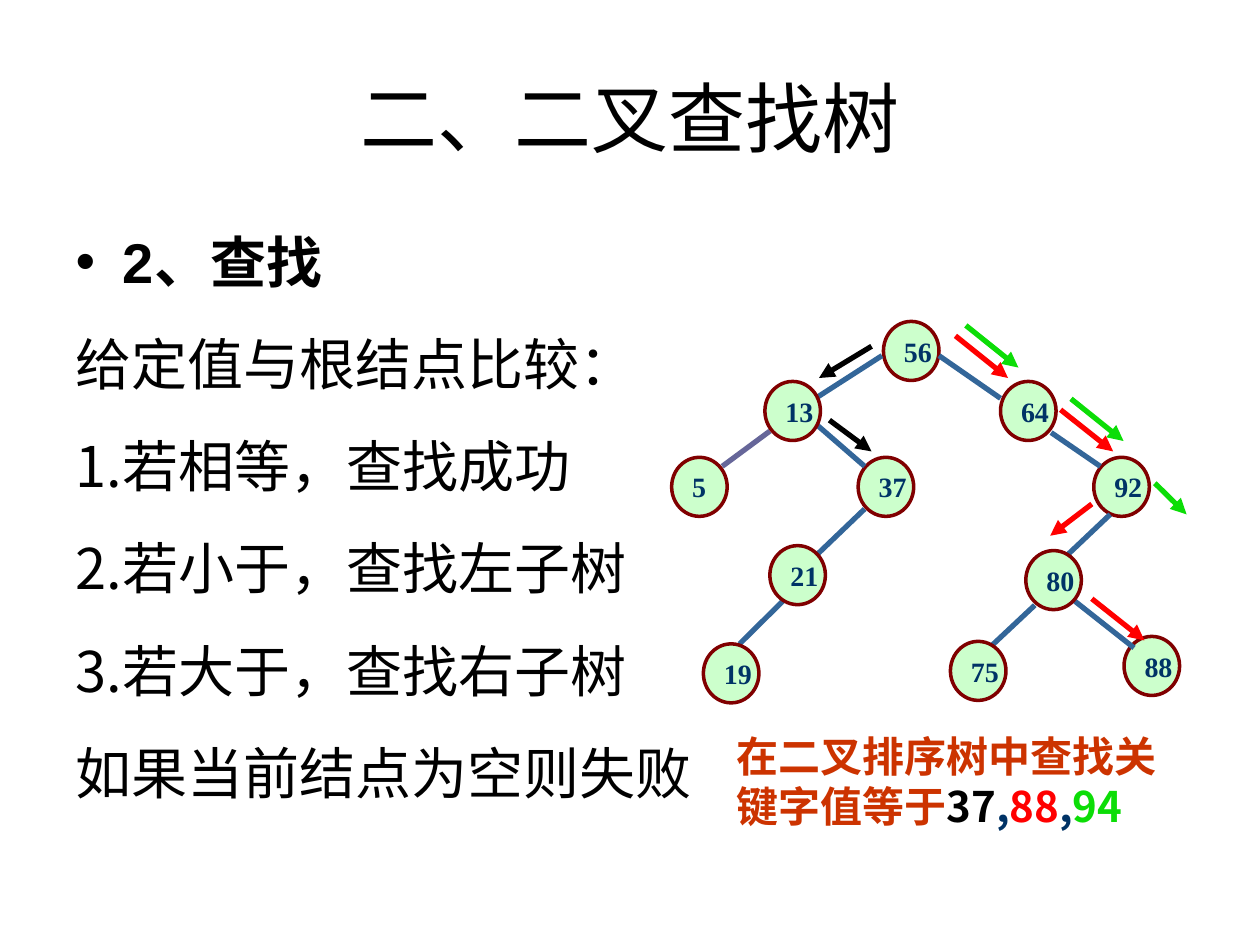
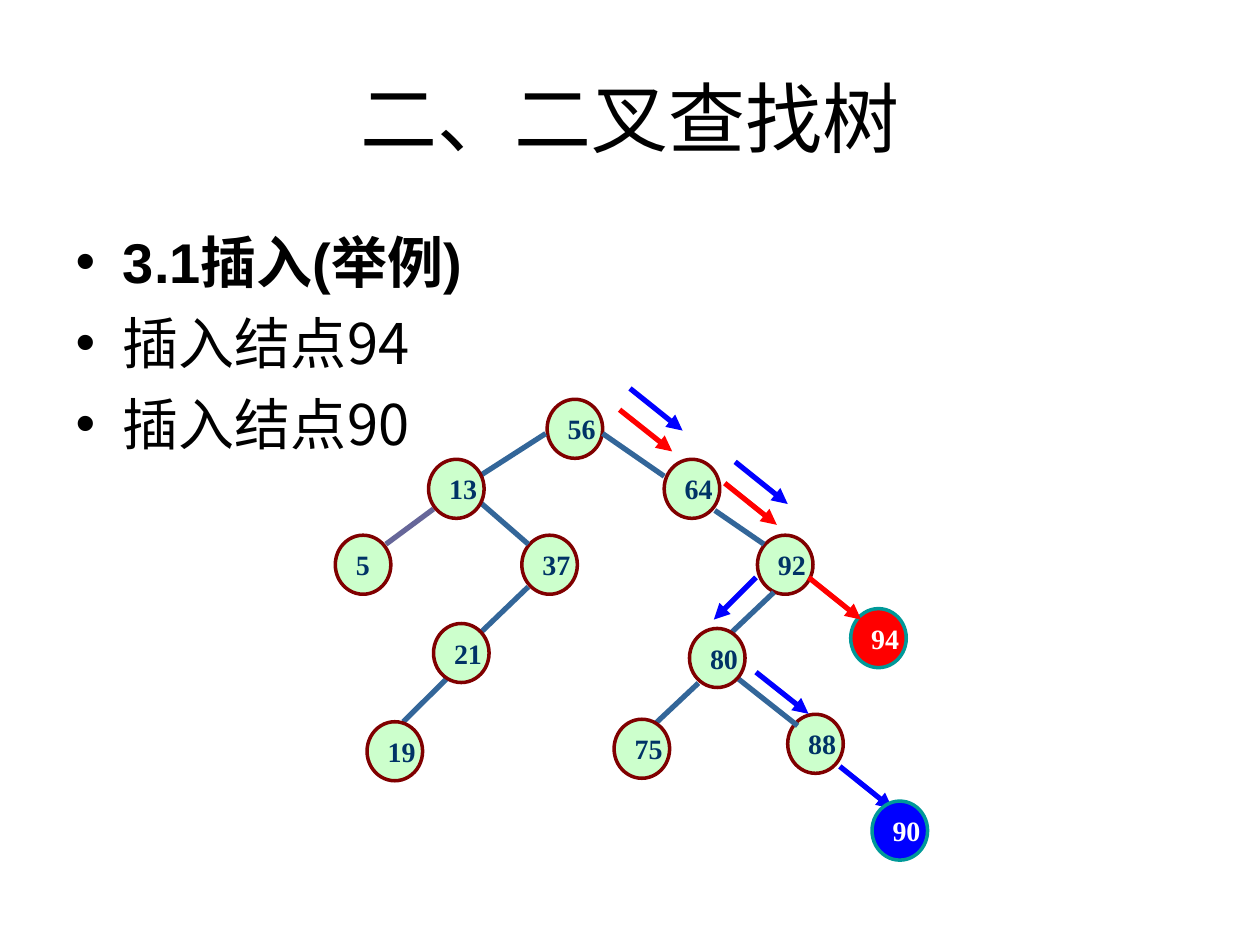
"""Builds two slides on searching and inserting in a binary search tree."""
from lxml import etree
from pptx import Presentation
from pptx.dml.color import RGBColor
from pptx.enum.shapes import MSO_CONNECTOR, MSO_SHAPE
from pptx.enum.text import MSO_ANCHOR, MSO_AUTO_SIZE, PP_ALIGN
from pptx.oxml.ns import qn
from pptx.util import Cm, Pt

STRAIGHT = MSO_CONNECTOR.STRAIGHT
OVAL = MSO_SHAPE.OVAL
MIDDLE, TOP = MSO_ANCHOR.MIDDLE, MSO_ANCHOR.TOP
LEFT, CENTER = PP_ALIGN.LEFT, PP_ALIGN.CENTER
FIXED, GROW = MSO_AUTO_SIZE.NONE, MSO_AUTO_SIZE.SHAPE_TO_FIT_TEXT

COLORS = {
    "black": "000000", "white": "FFFFFF", "red": "FF0000", "green": "0CDD07",
    "blue": "0000FF", "node": "CCFFCC", "node_line": "800000",
    "new_line": "009999", "key": "003366", "edge": "336699",
    "leaf_edge": "666699", "caption": "CC3300",
}
LATIN, CHINESE, KEY_FONT = "Arial", "Noto Sans CJK SC", "Times New Roman"
TITLE = "二、二叉查找树"
NODE_WIDTH, NODE_HEIGHT = 1.12, 1.19

BACK_NODES = {
    "56": (0, 0), "64": (2.36, 1.21), "5": (-4.27, 2.74),
    "92": (4.24, 2.74), "37": (-0.51, 2.74), "88": (4.85, 6.35),
}
FRONT_NODES = {
    "19": (-3.63, 6.5), "80": (2.87, 4.62), "21": (-2.29, 4.52),
    "13": (-2.39, 1.21), "75": (1.35, 6.45),
}
EDGES = [
    (-0.03, 0.69, -1.37, 1.55), (1.12, 0.69, 2.36, 1.55),
    (-1.37, 2.06, -0.38, 2.92), (-0.38, 3.78, -1.6, 4.95),
    (3.38, 2.24, 4.37, 2.92), (4.57, 3.89, 3.61, 4.8),
    (3.86, 5.64, 5.05, 6.58), (-1.88, 5.49, -2.9, 6.5),
    (3.05, 5.72, 2.08, 6.63),
]
LEAF_EDGE = (-2.29, 2.21, -3.25, 2.92)

SEARCH_ARROWS = {
    "black": [(17.57, 6.98, 16.51, 7.62), (16.72, 8.47, 17.57, 9.1)],
    "red": [(19.26, 6.77, 20.32, 7.62), (21.38, 8.26, 22.44, 9.1),
            (22.01, 10.16, 21.17, 10.8), (22.01, 12.07, 23.07, 12.91)],
    "green": [(19.47, 6.56, 20.53, 7.41), (21.59, 8.04, 22.65, 8.89),
              (23.28, 9.74, 23.92, 10.37)],
}
INSERT_ARROWS = {
    "red": [(12.49, 8.26, 13.55, 9.1), (14.61, 9.74, 15.66, 10.58),
            (16.3, 11.64, 17.36, 12.49)],
    "blue": [(12.7, 7.83, 13.76, 8.68), (14.82, 9.31, 15.88, 10.16),
             (15.24, 11.64, 14.39, 12.49), (15.24, 13.55, 16.3, 14.39),
             (16.93, 15.45, 17.99, 16.3)],
}


def rgb(name):
    """Return the named colour."""
    return RGBColor.from_string(COLORS[name])


def add_run(paragraph, text, *, size, font, color="black", bold=False):
    """Append formatted text to a paragraph."""
    run = paragraph.add_run()
    run.text = text
    run.font.size = Pt(size)
    run.font.name = font
    run.font.bold = bold
    run.font.color.rgb = rgb(color)
    east_asian = etree.SubElement(run.font._element, qn("a:ea"))
    east_asian.set("typeface", CHINESE)


def place(shape, left, top, width, height):
    """Move and size a shape, in centimetres."""
    shape.left, shape.top = Cm(left), Cm(top)
    shape.width, shape.height = Cm(width), Cm(height)


def add_titled_slide(presentation):
    """Add a slide with the shared title and return it with its body frame."""
    slide = presentation.slides.add_slide(presentation.slide_layouts[1])
    title, body = slide.placeholders
    place(title, 1.27, 0.76, 22.86, 3.18)
    title.text_frame.vertical_anchor = MIDDLE
    paragraph = title.text_frame.paragraphs[0]
    paragraph.alignment = CENTER
    add_run(paragraph, TITLE, size=44, font=LATIN)
    place(body, 1.27, 4.45, 22.86, 12.57)
    body.text_frame.auto_size = FIXED
    body.text_frame.vertical_anchor = TOP
    return slide, body.text_frame


def fill_list(frame, heading, lines, *, space, bulleted):
    """Write a bold bulleted heading and the lines below it."""
    first = frame.paragraphs[0]
    first.space_before = Pt(8)
    add_run(first, heading, size=32, font=LATIN, bold=True)
    for line in lines:
        paragraph = frame.add_paragraph()
        paragraph.space_before = Pt(space)
        if not bulleted:
            properties = paragraph._p.get_or_add_pPr()
            etree.SubElement(properties, qn("a:buNone"))
        add_run(paragraph, line, size=32, font=CHINESE)


def add_node(slide, key, left, top, fill="node", line="node_line", color="key"):
    """Add a tree node showing its key."""
    node = slide.shapes.add_shape(
        OVAL, Cm(left), Cm(top), Cm(NODE_WIDTH), Cm(NODE_HEIGHT))
    node.shadow.inherit = False
    node.fill.solid()
    node.fill.fore_color.rgb = rgb(fill)
    node.line.color.rgb = rgb(line)
    node.line.width = Pt(2)
    frame = node.text_frame
    frame.word_wrap = False
    frame.vertical_anchor = MIDDLE
    paragraph = frame.paragraphs[0]
    paragraph.alignment = LEFT
    add_run(paragraph, key, size=16, font=KEY_FONT, color=color, bold=True)


def add_line(slide, ends, color, arrow=False):
    """Add a straight line, with an arrowhead at its end if wanted."""
    line = slide.shapes.add_connector(STRAIGHT, *map(Cm, ends))
    line.line.color.rgb = rgb(color)
    line.line.width = Pt(3)
    if arrow:
        outline = line.line._get_or_add_ln()
        etree.SubElement(outline, qn("a:tailEnd")).set("type", "triangle")
    etree.SubElement(line._element.spPr, qn("a:effectLst"))


def add_tree(slide, left, top):
    """Draw the tree with its root at the given place."""
    def add_nodes(nodes):
        """Add nodes placed relative to the root."""
        for key, (x, y) in nodes.items():
            add_node(slide, key, left + x, top + y)

    def add_edge(ends, color):
        """Add an edge placed relative to the root."""
        x1, y1, x2, y2 = ends
        add_line(slide, (left + x1, top + y1, left + x2, top + y2), color)

    add_nodes(BACK_NODES)
    for ends in EDGES:
        add_edge(ends, "edge")
    add_edge(LEAF_EDGE, "leaf_edge")
    add_nodes(FRONT_NODES)


def add_arrows(slide, arrows):
    """Draw the search paths, one colour for each key."""
    for color, paths in arrows.items():
        for ends in paths:
            add_line(slide, ends, color, arrow=True)


def add_caption(slide):
    """Add the caption naming the keys in their path colours."""
    box = slide.shapes.add_textbox(Cm(14.6), Cm(14.6), Cm(9.73), Cm(2.29))
    box.text_frame.word_wrap = True
    box.text_frame.auto_size = GROW
    paragraph = box.text_frame.paragraphs[0]
    paragraph.space_before = Pt(15)
    parts = [("在二叉排序树中查找关键字值等于", "caption"), ("37", "black"),
             (",", "key"), ("88", "red"), (",", "key"), ("94", "green")]
    for text, color in parts:
        add_run(paragraph, text, size=24, font=CHINESE, color=color, bold=True)


def build_search_slide(presentation):
    """Build the slide on searching."""
    slide, body = add_titled_slide(presentation)
    lines = ["给定值与根结点比较：", "1.若相等，查找成功", "2.若小于，查找左子树",
             "3.若大于，查找右子树", "如果当前结点为空则失败"]
    fill_list(body, "2、查找", lines, space=20, bulleted=False)
    add_tree(slide, 17.81, 6.48)
    add_caption(slide)
    add_arrows(slide, SEARCH_ARROWS)


def build_insert_slide(presentation):
    """Build the slide on inserting."""
    slide, body = add_titled_slide(presentation)
    fill_list(body, "3.1插入(举例)", ["插入结点94", "插入结点90"],
              space=8, bulleted=True)
    add_tree(slide, 11.03, 8.05)
    add_node(slide, "94", 17.15, 12.27, "red", "new_line", "white")
    add_arrows(slide, INSERT_ARROWS)
    add_node(slide, "90", 17.58, 16.15, "blue", "new_line", "white")


def main():
    """Build and save the presentation."""
    presentation = Presentation()
    presentation.slide_width, presentation.slide_height = Cm(25.4), Cm(19.05)
    build_search_slide(presentation)
    build_insert_slide(presentation)
    presentation.save("out.pptx")


if __name__ == "__main__":
    main()
